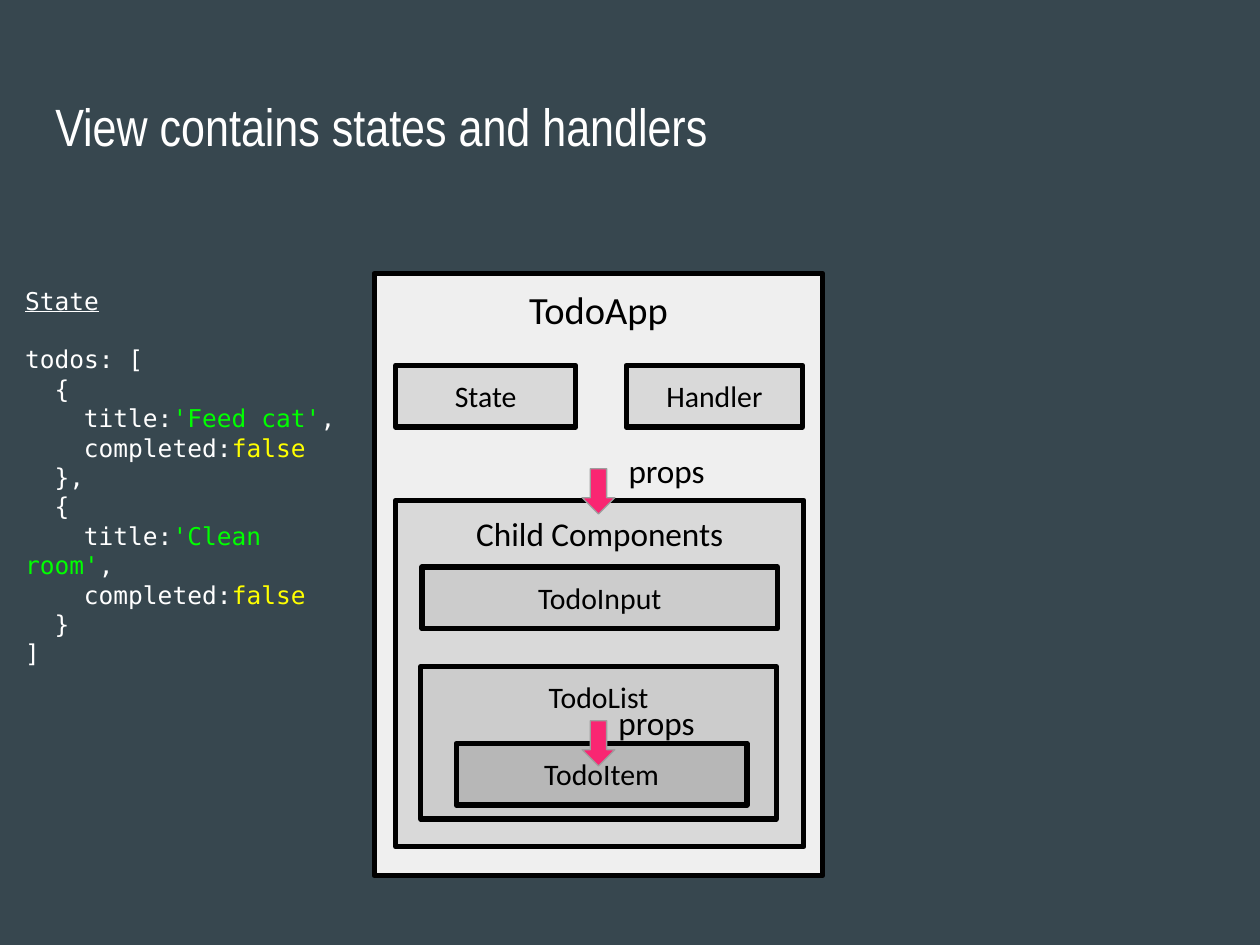
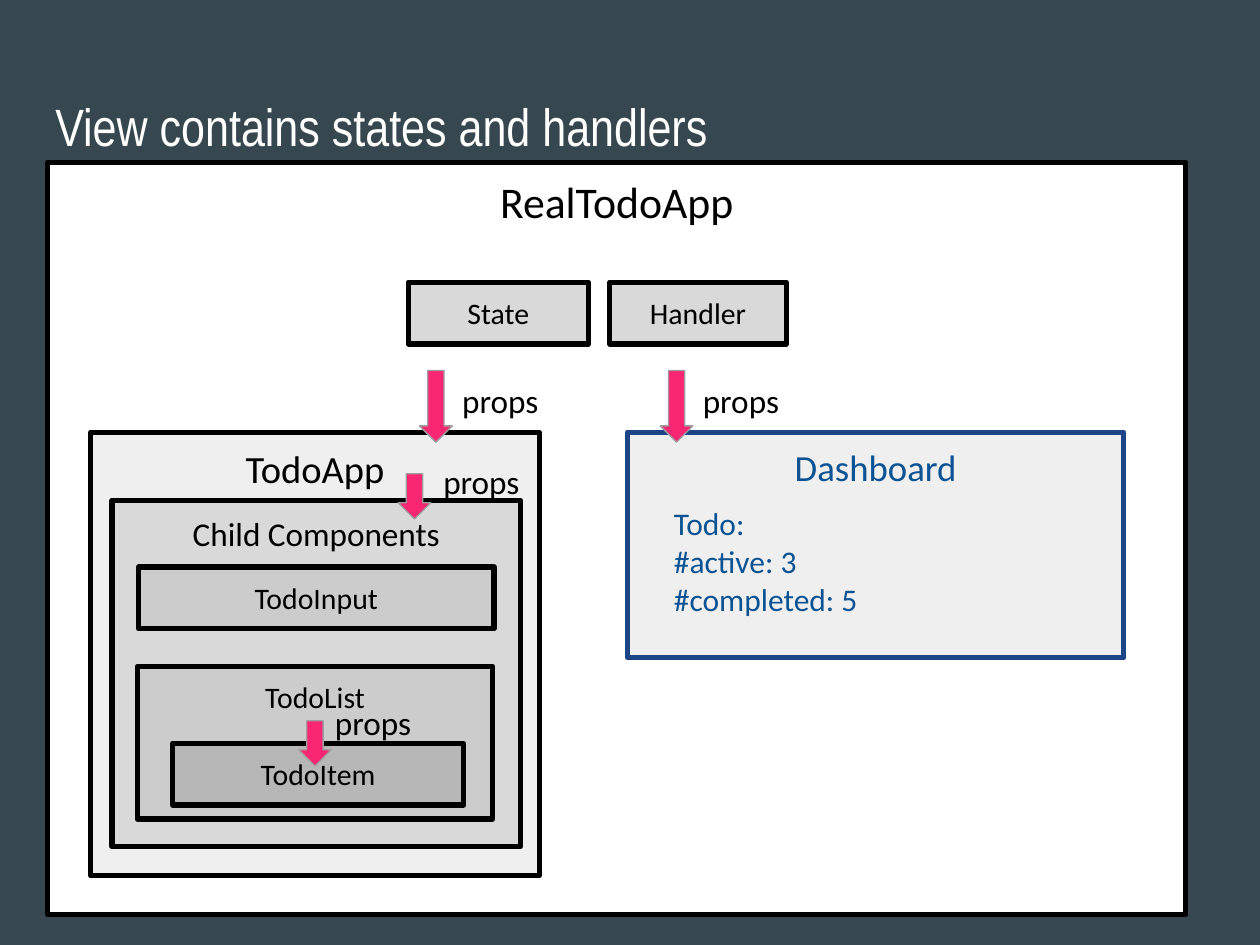
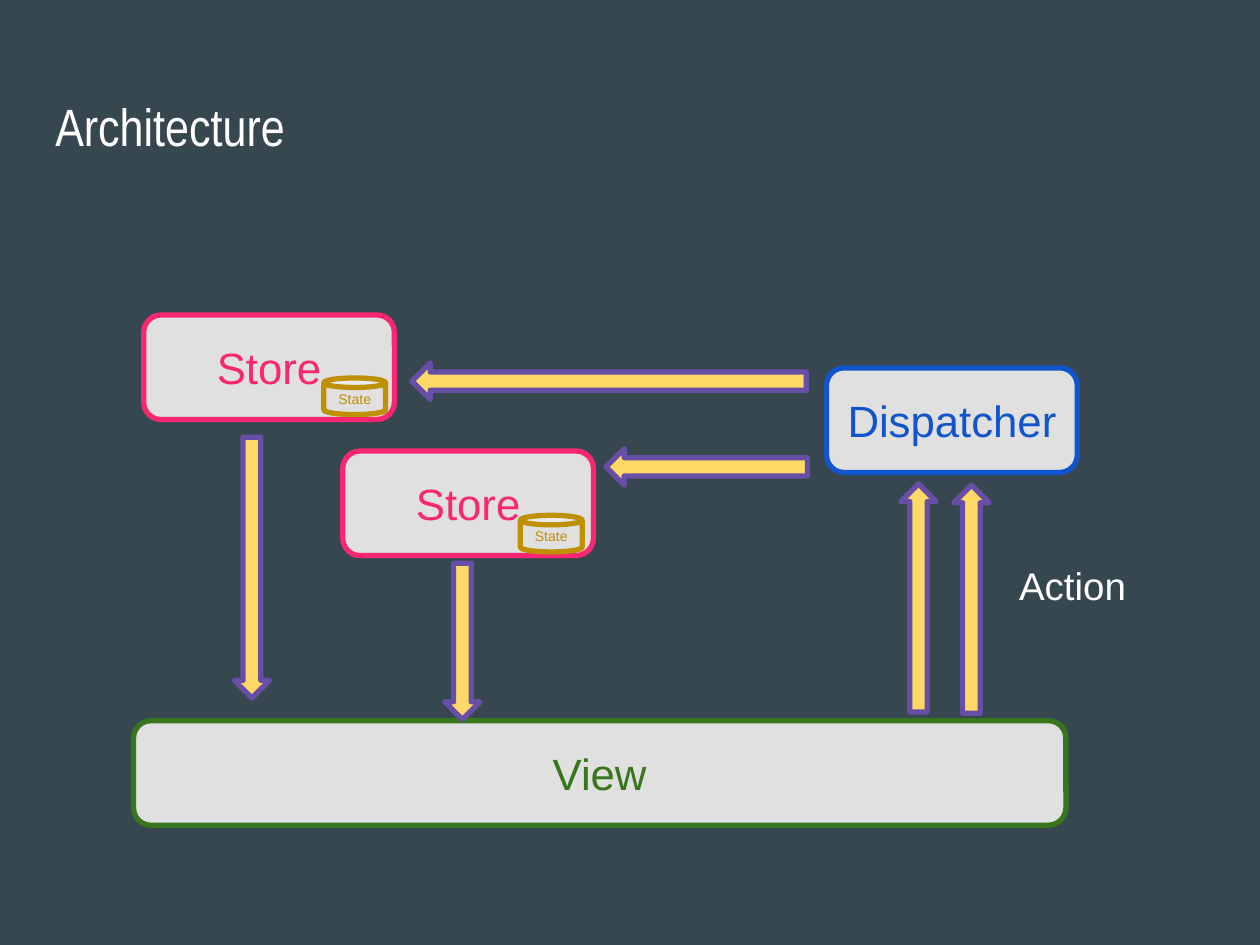
from pptx import Presentation
from pptx.dml.color import RGBColor
from pptx.enum.shapes import MSO_SHAPE as Shape
from pptx.enum.text import MSO_ANCHOR as Anchor, PP_ALIGN as Align
from pptx.util import Inches, Pt

SLATE = RGBColor(0x37, 0x47, 0x4F)
WHITE = RGBColor(0xFF, 0xFF, 0xFF)
BLACK = RGBColor(0x00, 0x00, 0x00)
PALE = RGBColor(0xEF, 0xEF, 0xEF)
SILVER = RGBColor(0xE0, 0xE0, 0xE0)
LIGHT = RGBColor(0xD9, 0xD9, 0xD9)
MEDIUM = RGBColor(0xCC, 0xCC, 0xCC)
DARK = RGBColor(0xB7, 0xB7, 0xB7)
GREY = RGBColor(0x9E, 0x9E, 0x9E)
PINK = RGBColor(0xF9, 0x26, 0x72)
NAVY = RGBColor(0x1C, 0x45, 0x87)
OCEAN = RGBColor(0x0B, 0x53, 0x94)
BLUE = RGBColor(0x11, 0x55, 0xCC)
GREEN = RGBColor(0x38, 0x76, 0x1D)
YELLOW = RGBColor(0xFF, 0xD9, 0x66)
PURPLE = RGBColor(0x67, 0x4E, 0xA7)
GOLD = RGBColor(0xBF, 0x90, 0x00)
STRING = RGBColor(0x00, 0xFF, 0x00)
KEYWORD = RGBColor(0xFF, 0xFF, 0x00)

BODY_FONT, TITLE_FONT = "Calibri", "Arial Narrow"
FLOW_FONT, CODE_FONT = "Arial", "DejaVu Sans Mono"
INSET = 0.1
CODE_SIZE = 14
CODE_STEP = 2 * 0.602 * CODE_SIZE
CODE_GAP = 16.5

VIEW_TITLE = "View contains states and handlers"
TITLE_BOX = (0.34, 0.65, 9.32, 0.83)

APP_BOTTOM, APP_WIDTH = 6.95, 3.56
COMPONENTS = [
    ("Child Components", (0.17, 3.97, 3.24, 2.75), LIGHT, 19),
    ("TodoInput", (0.38, 4.5, 2.82, 0.49), MEDIUM, 17),
    ("TodoList", (0.37, 5.29, 2.82, 1.21), MEDIUM, 17),
    ("TodoItem", (0.65, 5.9, 2.31, 0.49), DARK, 17),
]
STATE_WIDTH, HANDLER_WIDTH, BUTTON_HEIGHT = 1.43, 1.4, 0.49
PROPS_WIDTH, PROPS_HEIGHT = 1.04, 0.93
SHORT_ARROW, LONG_ARROW, ARROW_WIDTH = 0.36, 0.57, 0.26

STATE_CODE = [
    (0, [("todos: [", WHITE)]),
    (1, [("{", WHITE)]),
    (2, [("title:", WHITE), ("'Feed cat'", STRING), (",", WHITE)]),
    (2, [("completed:", WHITE), ("false", KEYWORD)]),
    (1, [("},", WHITE)]),
    (1, [("{", WHITE)]),
    (2, [("title:", WHITE), ("'Clean room'", STRING), (",", WHITE)]),
    (2, [("completed:", WHITE), ("false", KEYWORD)]),
    (1, [("}", WHITE)]),
    (0, [("]", WHITE)]),
]
DASHBOARD_LINES = ["Todo:", "#active: 3", "#completed: 5"]

NODE_HEIGHT, NODE_WIDTH = 0.83, 1.99
NODES = [
    ("View", 1.06, 5.72, 7.4, GREEN),
    ("Dispatcher", 6.56, 2.92, NODE_WIDTH, BLUE),
    ("Store", 1.14, 2.5, NODE_WIDTH, PINK),
    ("Store", 2.72, 3.58, NODE_WIDTH, PINK),
]
FLOWS = [
    (Shape.UP_ARROW, (7.15, 3.84, 0.28, 1.81)),
    (Shape.LEFT_ARROW, (3.27, 2.88, 3.13, 0.29)),
    (Shape.LEFT_ARROW, (4.81, 3.56, 1.6, 0.29)),
    (Shape.DOWN_ARROW, (1.86, 3.47, 0.28, 2.07)),
    (Shape.DOWN_ARROW, (3.53, 4.47, 0.28, 1.24)),
    (Shape.UP_ARROW, (7.57, 3.85, 0.28, 1.81)),
]
STORE_STATES = [(4.13, 4.09), (2.57, 3)]


def style_run(run, font, size, color):
    run.font.name = font
    run.font.size = Pt(size)
    run.font.color.rgb = color


def prepare_frame(shape, anchor=Anchor.TOP):
    frame = shape.text_frame
    frame.word_wrap = True
    frame.vertical_anchor = anchor
    frame.margin_left = frame.margin_right = Inches(INSET)
    frame.margin_top = frame.margin_bottom = Inches(INSET)
    return frame


def write(shape, text, font, size, color, align=Align.LEFT, anchor=Anchor.TOP):
    frame = prepare_frame(shape, anchor)
    frame.text = text
    for paragraph in frame.paragraphs:
        paragraph.alignment = align
        for run in paragraph.runs:
            style_run(run, font, size, color)


def add_label(slide, box, text, font, size, color):
    label = slide.shapes.add_textbox(*map(Inches, box))
    write(label, text, font, size, color)


def add_figure(slide, kind, box, fill, line, weight=3):
    shape = slide.shapes.add_shape(kind, *map(Inches, box))
    shape.shadow.inherit = False
    shape.fill.solid()
    shape.fill.fore_color.rgb = fill
    shape.line.color.rgb = line
    shape.line.width = Pt(weight)
    return shape


def add_box(slide, text, box, fill, size, line=BLACK, color=BLACK):
    shape = add_figure(slide, Shape.RECTANGLE, box, fill, line)
    write(shape, text, BODY_FONT, size, color, Align.CENTER)


def add_flow_node(slide, kind, text, box, size, color):
    shape = add_figure(slide, kind, box, SILVER, color)
    write(shape, text, FLOW_FONT, size, color, Align.CENTER, Anchor.MIDDLE)
    return shape


def add_slide(presentation):
    slide = presentation.slides.add_slide(presentation.slide_layouts[6])
    slide.background.fill.solid()
    slide.background.fill.fore_color.rgb = SLATE
    return slide


def add_title(slide, text):
    add_label(slide, TITLE_BOX, text, TITLE_FONT, 30, WHITE)


def add_props(slide, arrow_left, arrow_top, length, label_left, label_top):
    box = (arrow_left, arrow_top, ARROW_WIDTH, length)
    add_figure(slide, Shape.DOWN_ARROW, box, PINK, GREY, 0.75)
    label_box = (label_left, label_top, PROPS_WIDTH, PROPS_HEIGHT)
    add_label(slide, label_box, "props", BODY_FONT, 19, BLACK)


def add_todo_app(slide, left, top):
    add_box(slide, "TodoApp", (left, top, APP_WIDTH, APP_BOTTOM - top), PALE, 22)
    for text, (offset, y, width, height), fill, size in COMPONENTS:
        add_box(slide, text, (left + offset, y, width, height), fill, size)
    add_props(slide, left + 1.65, 5.72, SHORT_ARROW, left + 1.84, 5.47)


def add_state_and_handler(slide, state_left, handler_left, top):
    for text, left, width in (("State", state_left, STATE_WIDTH),
                              ("Handler", handler_left, HANDLER_WIDTH)):
        add_box(slide, text, (left, top, width, BUTTON_HEIGHT), LIGHT, 17)


def add_state_code(slide, box):
    frame = prepare_frame(slide.shapes.add_textbox(*map(Inches, box)))
    heading = frame.paragraphs[0]
    heading.text = "State"
    heading.space_after = Pt(CODE_GAP)
    style_run(heading.runs[0], CODE_FONT, CODE_SIZE, WHITE)
    heading.runs[0].font.underline = True
    for level, pieces in STATE_CODE:
        paragraph = frame.add_paragraph()
        properties = paragraph._p.get_or_add_pPr()
        properties.set("marL", "0")
        properties.set("indent", str(Pt(level * CODE_STEP)))
        for text, color in pieces:
            run = paragraph.add_run()
            run.text = text
            style_run(run, CODE_FONT, CODE_SIZE, color)


def build_todo_app(presentation):
    slide = add_slide(presentation)
    add_title(slide, VIEW_TITLE)
    add_todo_app(slide, 2.97, 2.17)
    add_state_and_handler(slide, 3.14, 4.97, 2.9)
    add_props(slide, 4.62, 3.72, SHORT_ARROW, 4.89, 3.47)
    add_state_code(slide, (0.1, 2.17, 2.82, 2.37))


def build_real_todo_app(presentation):
    slide = add_slide(presentation)
    add_box(slide, "RealTodoApp", (0.38, 1.29, 9.03, 5.97), WHITE, 25)
    add_title(slide, VIEW_TITLE)
    add_box(slide, "Dashboard", (4.98, 3.43, 3.94, 1.79), PALE, 21, NAVY, OCEAN)
    add_label(slide, (5.25, 3.9, 3.44, 1.13), "\n".join(DASHBOARD_LINES),
              BODY_FONT, 18, OCEAN)
    add_todo_app(slide, 0.72, 3.43)
    add_state_and_handler(slide, 3.24, 4.84, 2.24)
    for left in (3.33, 5.24):
        add_props(slide, left, 2.94, LONG_ARROW, left + 0.24, 2.92)
    add_props(slide, 3.16, 3.76, SHORT_ARROW, 3.42, 3.56)


def build_architecture(presentation):
    slide = add_slide(presentation)
    add_title(slide, "Architecture")
    for text, left, top, width, color in NODES:
        add_flow_node(slide, Shape.ROUNDED_RECTANGLE, text,
                      (left, top, width, NODE_HEIGHT), 25, color)
    for kind, box in FLOWS:
        add_figure(slide, kind, box, YELLOW, PURPLE)
    add_label(slide, (7.99, 4.36, 1.9, 0.93), "Action", FLOW_FONT, 22, WHITE)
    for left, top in STORE_STATES:
        can = add_flow_node(slide, Shape.CAN, "State",
                            (left, top, 0.49, 0.29), 8, GOLD)
        can.adjustments[0] = 0.26


def main():
    presentation = Presentation()
    presentation.slide_width = Inches(10)
    presentation.slide_height = Inches(7.5)
    build_todo_app(presentation)
    build_real_todo_app(presentation)
    build_architecture(presentation)
    presentation.save("out.pptx")


if __name__ == "__main__":
    main()
